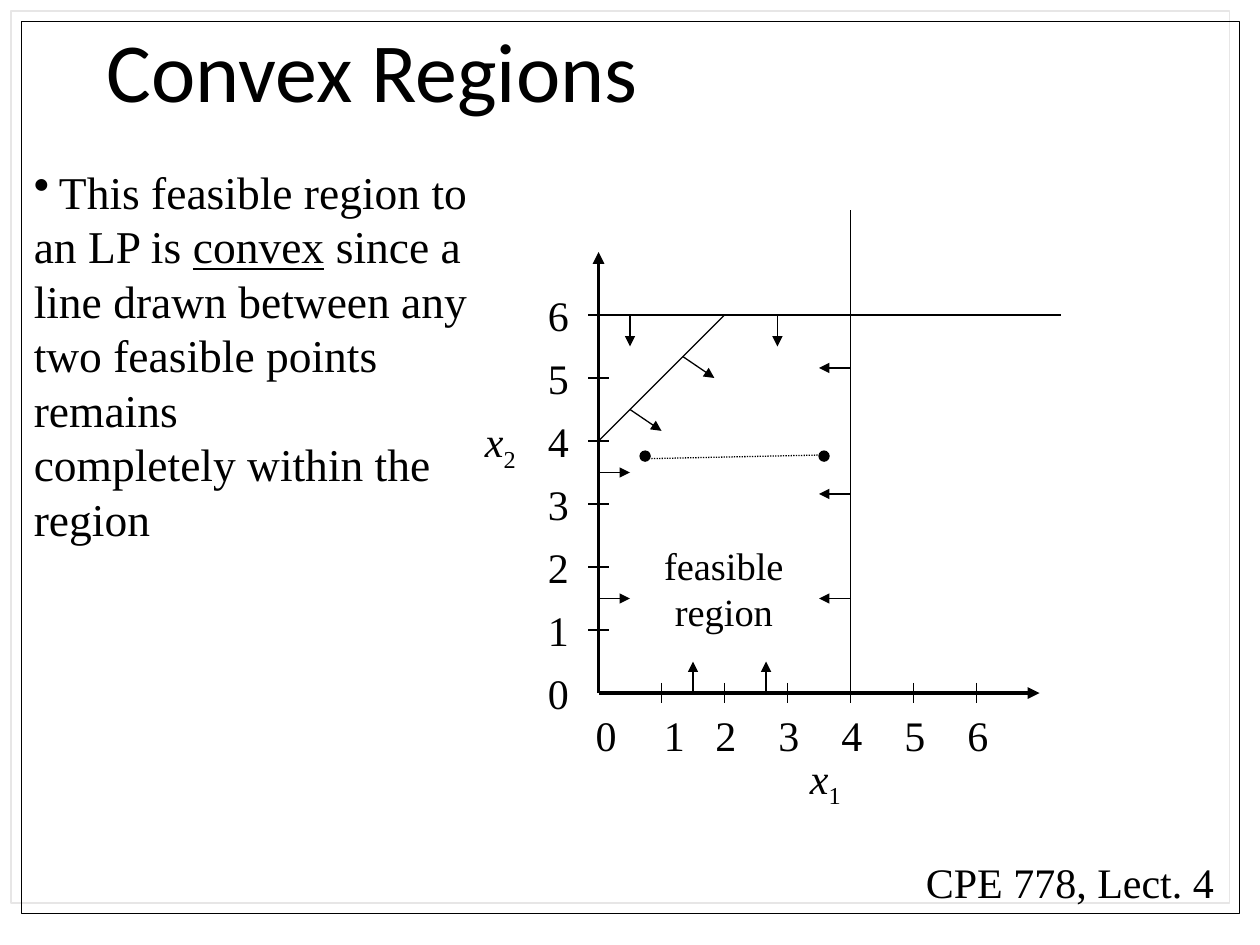
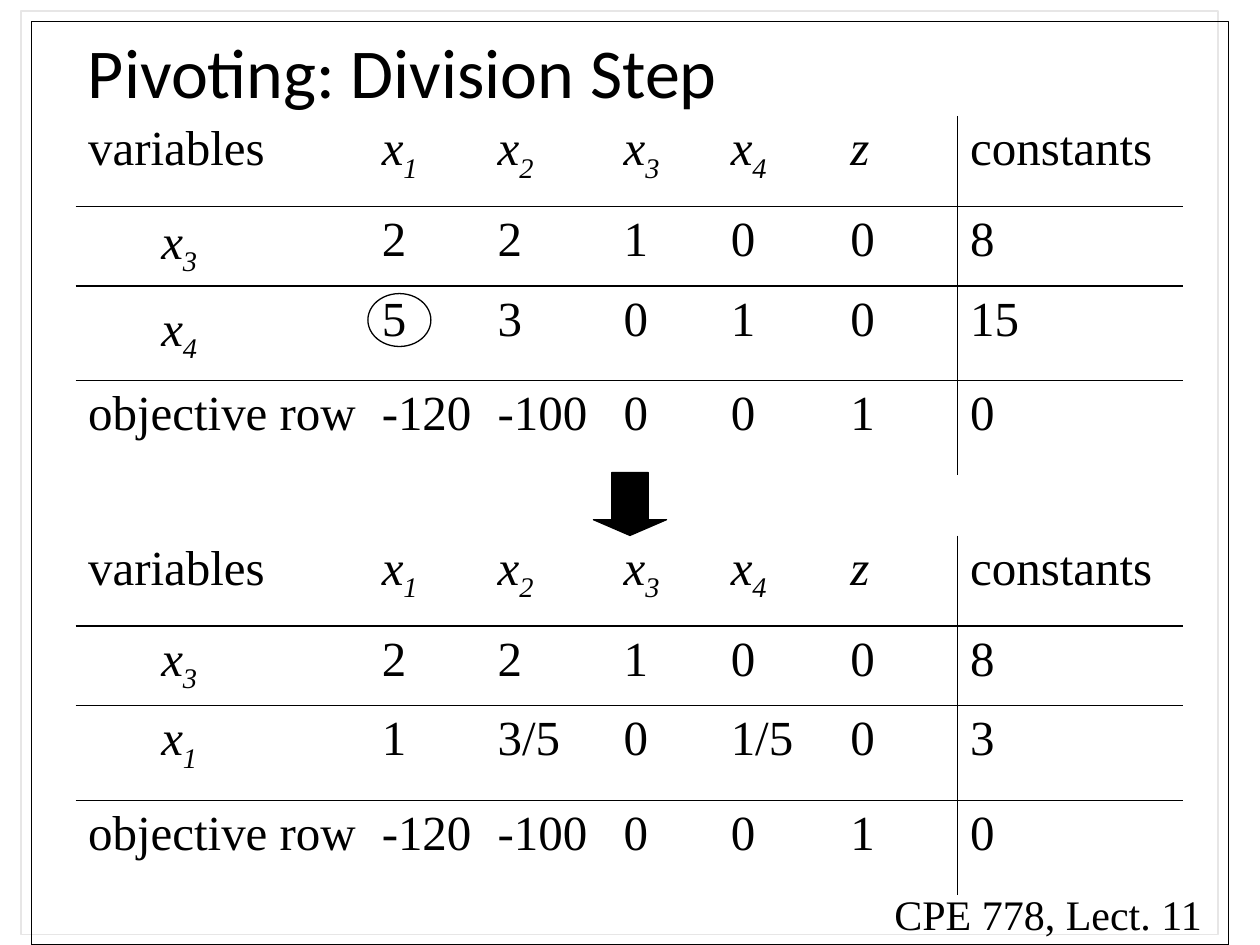
from lxml.etree import SubElement as Sub
from pptx import Presentation
from pptx.dml.color import RGBColor
from pptx.enum.dml import MSO_LINE as Dash
from pptx.enum.shapes import MSO_CONNECTOR as Conn, MSO_SHAPE as Kind
from pptx.enum.text import MSO_ANCHOR as Anchor, PP_ALIGN as Align
from pptx.oxml.ns import qn
from pptx.util import Inches, Pt

INK, SHADE = "000000", "E7E6E6"
HEAD, BODY = "Calibri", "Times New Roman"
NO_GRID = "{2D5ABB26-0587-4C30-8999-92F81FD0307C}"


def color(code):
    return RGBColor.from_string(code)


# Text helpers
def style(para, size, face=BODY, italic=False):
    font = para.font
    font.name, font.size, font.italic = face, Pt(size), italic
    font.color.rgb = color(INK)


def write(para, text, size, face=BODY, slant=True):
    """Write text; "x_1" becomes an italic variable with a subscript."""
    base, _, sub = text.partition("_")
    style(para, size, face, base in ("x", "z"))
    para.add_run().text = base
    if sub:
        low = para.add_run()
        low.text = sub
        low.font.italic = slant
        low.font._element.set("baseline", "-25000")


def label(slide, box, lines, size=24, face=BODY, wrap=False, align=Align.LEFT):
    frame = slide.shapes.add_textbox(*map(Inches, box)).text_frame
    frame.word_wrap = wrap
    for n, line in enumerate(lines):
        para = frame.add_paragraph() if n else frame.paragraphs[0]
        para.alignment = align
        write(para, line, size, face, slant=False)
    return frame


# Shape helpers
def shape(slide, kind, box, fill=None):
    part = slide.shapes.add_shape(kind, *map(Inches, box))
    part.shadow.inherit = False
    if fill:
        part.fill.solid()
        part.fill.fore_color.rgb = color(fill)
    else:
        part.fill.background()
    part.line.color.rgb = color(INK)
    part.line.width = Pt(0.75)
    return part


def line(slide, start, end, width=0.75, arrow=False):
    link = slide.shapes.add_connector(Conn.STRAIGHT, *map(Inches, (*start, *end)))
    link.line.color.rgb = color(INK)
    link.line.width = Pt(width)
    if arrow:
        Sub(link.line._get_or_add_ln(), qn("a:tailEnd"), type="triangle")
    Sub(link._element.spPr, qn("a:effectLst"))
    return link


# Title, shadowed frame and footer shared by the slides
def base(deck, title, size, left, box, lecture, foot):
    slide = deck.slides.add_slide(deck.slide_layouts[6])
    head = label(slide, (left, 0, 8.5, 1.25), [title], size, HEAD, wrap=True)
    head.vertical_anchor = Anchor.MIDDLE
    head.paragraphs[0].line_spacing = 0.8
    frame = shape(slide, Kind.RECTANGLE, box)
    effects = frame._element.spPr.find(qn("a:effectLst"))
    shadow = Sub(effects, qn("a:outerShdw"), dist=str(Pt(8.5)),
                 dir=str(225 * 60000), algn="ctr", rotWithShape="0")
    Sub(shadow, qn("a:srgbClr"), val=SHADE)
    label(slide, foot, [f"CPE 778, Lect. {lecture}"])
    return slide


# Bulleted statement beside the graph
def claim(slide, box):
    lines = ["This feasible region to", "an LP is ", "line drawn between any",
             "two feasible points remains", "completely within the", "region"]
    paras = label(slide, box, lines, 26, wrap=True).paragraphs
    props = paras[0]._p.get_or_add_pPr()
    props.set("marL", str(Inches(0.2)))
    props.set("indent", str(-Inches(0.2)))
    mark = Sub(props, qn("a:buChar"), char="•")
    props.insert(0, mark)
    for word, under in (("convex", True), (" since a", False)):
        run = paras[1].add_run()
        run.text = word
        run.font.underline = under


# Graph of the feasible region, in data units of half an inch
def graph(slide, left, top):
    ox, oy, unit = left + 1, top + 3.83, 0.5

    def at(a, b):
        return ox + a * unit, oy - b * unit

    def draw(start, end, **look):
        return line(slide, at(*start), at(*end), **look)

    # Axes with ticks and numbers
    draw((0, 0), (0, 7), width=2.25, arrow=True)
    draw((0, 0), (7, 0), width=2.25, arrow=True)
    nudge = {0: 0.05, 1: 0.09}
    for n in range(7):
        x, y = at(n, n)
        if n:
            line(slide, (ox - 0.08, y), (ox + 0.08, y))
            line(slide, (x, oy - 0.08), (x, oy + 0.08))
        label(slide, (ox - 0.5, y - 0.25, 0.37, 0.5), [str(n)])
        label(slide, (x - 0.17 + nudge.get(n, 0), oy + 0.08, 0.37, 0.5), [str(n)])
    label(slide, (left, oy - 2.25, 0.46, 0.5), ["x_2"])
    label(slide, (left + 2.58, oy + 0.42, 0.46, 0.5), ["x_1"])

    # Constraint lines
    for start, end in (((0, 6), (7.34, 6)), ((4, 0), (4, 7.66)), ((0, 4), (2, 6))):
        draw(start, end)

    # Arrows to the feasible side: step, then starting points
    sides = [((0.5, -0.34), [(0.5, 4.5), (1.34, 5.34)]),
             ((0, -0.5), [(0.5, 6), (2.84, 6)]),
             ((-0.5, 0), [(4, 5.16), (4, 3.16), (4, 1.5)]),
             ((0, 0.5), [(1.5, 0), (2.66, 0)]),
             ((0.5, 0), [(0, 1.5), (0, 3.5)])]
    for (da, db), starts in sides:
        for a, b in starts:
            draw((a, b), (a + da, b + db), arrow=True)
    label(slide, (left + 1.42, top + 2.58, 1.15, 0.83), ["feasible", "region"],
          22, align=Align.CENTER)

    # Two feasible points and the segment between them
    for x in (1.33, 2.75):
        shape(slide, Kind.OVAL, (left + x, top + 1.91, 0.08, 0.08), INK)
    link = draw((0.84, 3.72), (3.66, 3.78))
    link.line.dash_style = Dash.ROUND_DOT


# Simplex tableau
def edge(cell, side):
    props = cell._tc.get_or_add_tcPr()
    border = Sub(props, qn(f"a:{side}"), w=str(Pt(1)))
    Sub(Sub(border, qn("a:solidFill")), qn("a:srgbClr"), val=INK)


def tableau(slide, left, top, rows, middle=False):
    widths = [2.33, 0.92, 1, 0.85, 0.95, 0.95, 1.79]
    heights = [0.72, 0.61, 0.75, 0.75]
    box = (left, top, sum(widths), sum(heights))
    grid = slide.shapes.add_table(4, 7, *map(Inches, box)).table
    grid.first_row = grid.horz_banding = False
    grid._tbl.tblPr[0].text = NO_GRID
    for col, width in zip(grid.columns, widths):
        col.width = Inches(width)
    names = ["variables", "x_1", "x_2", "x_3", "x_4", "z", "constants"]
    goal = ["objective row", "-120", "-100", "0", "0", "1", "0"]
    for r, texts in enumerate([names, *rows, goal]):
        grid.rows[r].height = Inches(heights[r])
        for c, text in enumerate(texts):
            cell = grid.cell(r, c)
            para = cell.text_frame.paragraphs[0]
            write(para, text, 28)
            if c == 0 and r in (1, 2):
                para._p.get_or_add_pPr().set("marL", str(Inches(0.58)))
                if middle:
                    cell.vertical_anchor = Anchor.MIDDLE
            # Rules around the constants, the header and the objective
            for side, on in (("lnL", c == 6), ("lnR", c == 5),
                             ("lnT", r in (1, 3)), ("lnB", r in (0, 2))):
                if on:
                    edge(cell, side)
            cell.fill.background()


def convex(deck):
    slide = base(deck, "Convex Regions", 48, 0.75, (0.17, 0.17, 9.67, 7.08),
                 4, (7.25, 6.75, 2.49, 0.5))
    graph(slide, 3.75, 1.67)
    claim(slide, (0.17, 1.25, 4.1, 2.7))


def pivot(deck):
    slide = base(deck, "Pivoting: Division Step", 40, 0.6, (0.25, 0.17, 9.5, 7.33),
                 11, (7, 7, 2.65, 0.5))
    first = ["x_3", "2", "2", "1", "0", "0", "8"]
    tableau(slide, 0.6, 0.92, [first, ["x_4", "5", "3", "0", "1", "0", "15"]], True)
    shape(slide, Kind.OVAL, (2.92, 2.33, 0.5, 0.42))
    arrow = shape(slide, Kind.DOWN_ARROW, (4.71, 3.75, 0.58, 0.5), INK)
    arrow.adjustments[0], arrow.adjustments[1] = 0.5, 0.25
    tableau(slide, 0.6, 4.25, [first, ["x_1", "1", "3/5", "0", "1/5", "0", "3"]])


def main():
    deck = Presentation()
    deck.slide_width, deck.slide_height = Inches(10), Inches(7.5)
    convex(deck)
    pivot(deck)
    deck.save("out.pptx")


if __name__ == "__main__":
    main()
